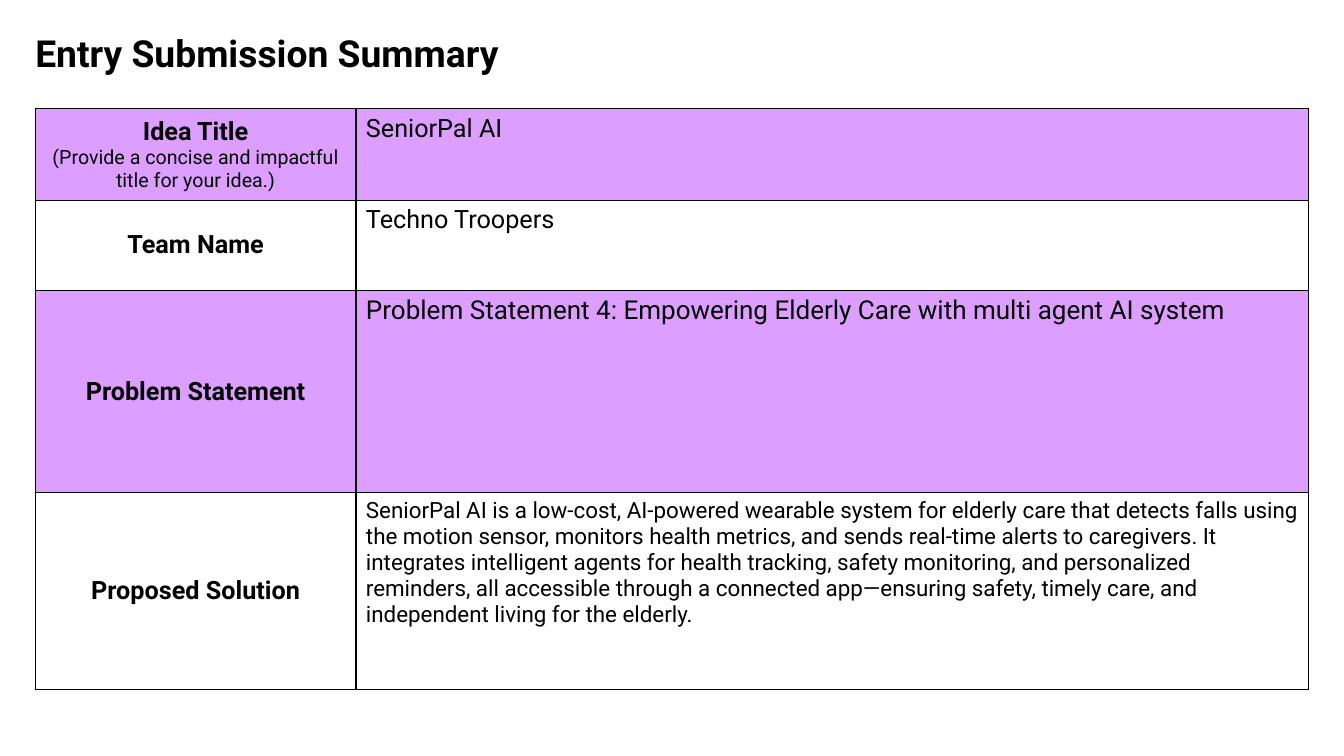
import pptx
import pptx.dml.color
import pptx.enum.text
import pptx.oxml
import pptx.oxml.ns
import pptx.util
from pptx.util import Inches

BLACK = pptx.dml.color.RGBColor(0x00, 0x00, 0x00)
WHITE = pptx.dml.color.RGBColor(0xFF, 0xFF, 0xFF)
LILAC = pptx.dml.color.RGBColor(0xDD, 0x9F, 0xFF)
FONT = "Roboto"

SOLUTION = (
    "SeniorPal AI is a low-cost, AI-powered wearable system for elderly care that detects falls "
    "using the motion sensor, monitors health metrics, and sends real-time alerts to caregivers. "
    "It integrates intelligent agents for health tracking, safety monitoring, and personalized "
    "reminders, all accessible through a connected app—ensuring safety, timely care, and "
    "independent living for the elderly."
)

# Label, hint, entry, entry size, row height, fill
ROWS = [
    ("Idea Title", "(Provide a concise and impactful title for your idea.)",
     "SeniorPal AI", 18, 0.91, LILAC),
    ("Team Name", "", "Techno Troopers", 18, 0.89, WHITE),
    ("Problem Statement", "",
     "Problem Statement 4: Empowering Elderly Care with multi agent AI system", 18.6, 2.01, LILAC),
    ("Proposed Solution", "", SOLUTION, 16, 1.95, WHITE),
]
COLUMN_WIDTHS = [3.18, 9.45]


def style_font(font, size, bold):
    font.name = FONT
    font.size = pptx.util.Pt(size)
    font.bold = bold
    font.color.rgb = BLACK


def style_cell(cell, fill):
    for side in ("L", "R", "T", "B"):
        cell._tc.get_or_add_tcPr().append(pptx.oxml.parse_xml(
            f'<a:ln{side} {pptx.oxml.ns.nsdecls("a")} w="12700"><a:solidFill>'
            f'<a:srgbClr val="{BLACK}"/></a:solidFill></a:ln{side}>'))
    cell.fill.solid()
    cell.fill.fore_color.rgb = fill


presentation = pptx.Presentation()
presentation.slide_width = Inches(13.33)
presentation.slide_height = Inches(7.5)
slide = presentation.slides.add_slide(presentation.slide_layouts[6])

# Title
title_frame = slide.shapes.add_textbox(
    Inches(0.35), Inches(0.39), Inches(12.29), Inches(0.93)).text_frame
title_frame.word_wrap = True
title_frame.margin_left = title_frame.margin_top = title_frame.margin_bottom = 0
title_frame.margin_right = Inches(0.13)
title = title_frame.paragraphs[0]
title.text = "Entry Submission Summary"
title.line_spacing = 0.8
style_font(title.font, 26.6, True)

# Summary table
table = slide.shapes.add_table(
    len(ROWS), 2, Inches(0.35), Inches(1.08), Inches(12.63), Inches(5.76)).table
table.first_row = False
table.horz_banding = False
for column, width in zip(table.columns, COLUMN_WIDTHS):
    column.width = Inches(width)

for row, (label, hint, entry, entry_size, height, fill) in zip(table.rows, ROWS):
    row.height = Inches(height)
    label_cell, entry_cell = row.cells

    # Label with its optional hint
    label_cell.vertical_anchor = pptx.enum.text.MSO_ANCHOR.MIDDLE
    paragraph = label_cell.text_frame.paragraphs[0]
    paragraph.alignment = pptx.enum.text.PP_ALIGN.CENTER
    run = paragraph.add_run()
    run.text = label
    style_font(run.font, 18, True)
    if hint:
        paragraph.add_line_break()
        run = paragraph.add_run()
        run.text = hint
        style_font(run.font, 14, False)

    # Entry
    paragraph = entry_cell.text_frame.paragraphs[0]
    paragraph.text = entry
    style_font(paragraph.font, entry_size, False)

    for cell in row.cells:
        style_cell(cell, fill)

presentation.save("out.pptx")
